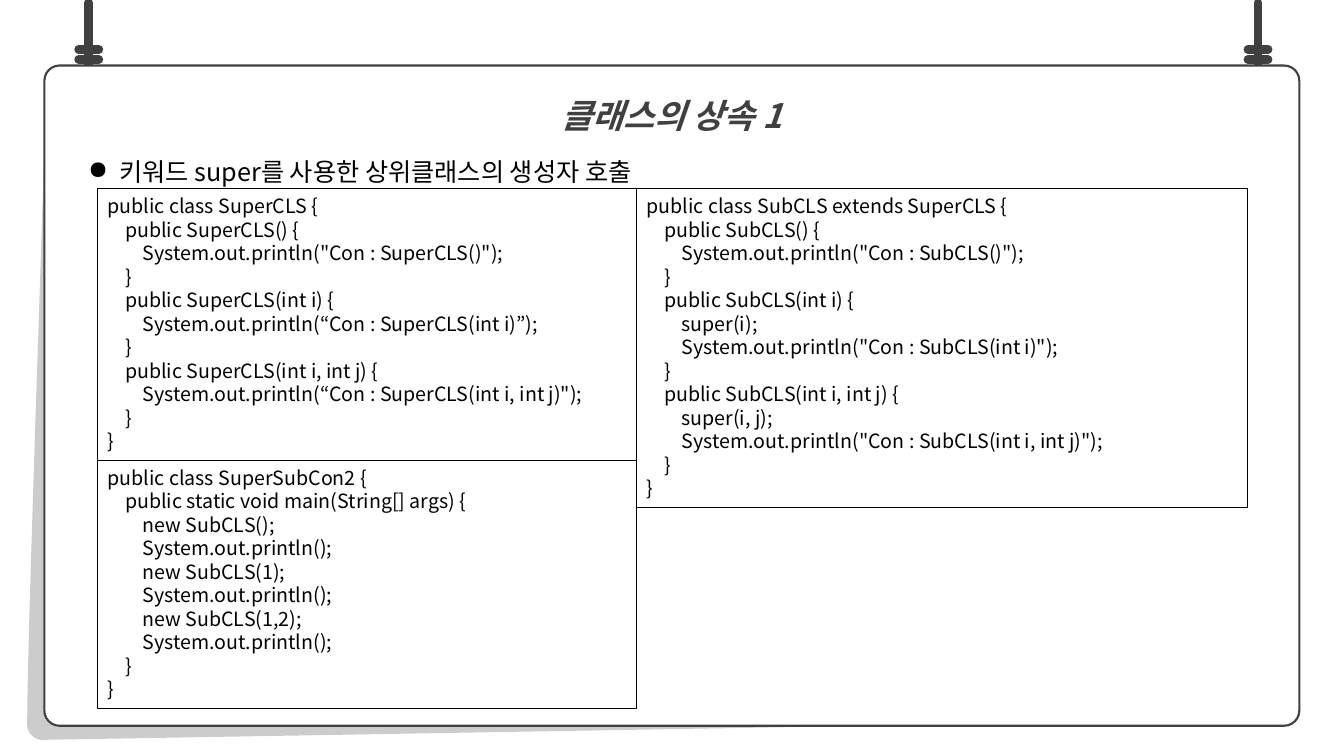
"""Build the slide on calling superclass constructors with super."""
from dataclasses import dataclass

from lxml import etree
from pptx import Presentation
from pptx.dml.color import RGBColor
from pptx.enum import shapes, text
from pptx.oxml import ns
from pptx.util import Pt


@dataclass(frozen=True)
class Theme:
    font: str = "Noto Sans CJK KR"
    ink: str = "000000"
    dark: str = "404040"
    paper: str = "FFFFFF"
    title: float = 24
    body: float = 18
    code: float = 14
    leading: float = 1.2
    loose: float = 1.8
    level: float = 12.5
    hairline: float = 0.75
    outline: float = 1.5
    rope: float = 6.25


class Deck:
    def __init__(self, s, theme):
        self.s, self.t = s, theme

    def color(self, value):
        return RGBColor.from_string(value)

    def paint(self, sp, fill=None, line=None, width=0):
        sp.shadow.inherit = False
        if fill:
            sp.fill.solid()
            sp.fill.fore_color.rgb = self.color(fill)
        else:
            sp.fill.background()
        if line:
            sp.line.color.rgb = self.color(line)
            sp.line.width = Pt(width)
        else:
            sp.line.fill.background()

    def frame(self, sp, margins):
        tf = sp.text_frame
        tf.word_wrap = True
        tf.auto_size = text.MSO_AUTO_SIZE.NONE
        tf.vertical_anchor = text.MSO_ANCHOR.TOP
        tf.margin_left, tf.margin_top, tf.margin_right, tf.margin_bottom = map(Pt, margins)
        return tf

    def fill_paragraph(self, p, content, size, color, leading, align=text.PP_ALIGN.LEFT):
        r = p.add_run()
        r.text = content
        p.alignment = align
        p.line_spacing = Pt(round(size * leading, 1))
        p.font.name, p.font.size = self.t.font, Pt(size)
        p.font.color.rgb = self.color(color)
        ea = etree.SubElement(r._r.get_or_add_rPr(), ns.qn("a:ea"))
        ea.set("typeface", self.t.font)

    def indent(self, p, left, first=0):
        pPr = p._p.get_or_add_pPr()
        pPr.set("marL", str(Pt(left)))
        pPr.set("indent", str(Pt(first)))
        return pPr

    def title(self, content, box):
        sp = self.s.shapes.title
        sp.left, sp.top, sp.width, sp.height = map(Pt, box)
        self.s.shapes._spTree.append(sp._element)
        p = self.frame(sp, (7.2, 3.6, 7.2, 3.6)).paragraphs[0]
        self.fill_paragraph(p, content, self.t.title, self.t.dark, self.t.loose,
                            text.PP_ALIGN.CENTER)
        p.font.bold = p.font.italic = True

    def line(self, x1, y1, x2, y2):
        c = self.s.shapes.add_connector(shapes.MSO_CONNECTOR.STRAIGHT, *map(Pt, (x1, y1, x2, y2)))
        c.line.color.rgb = self.color(self.t.dark)
        c.line.width = Pt(self.t.rope)
        c.line._get_or_add_ln().set("cap", "rnd")
        etree.SubElement(c._element.spPr, ns.qn("a:effectLst"))

    def rope(self, x):
        self.line(x, 2, x, 59)
        for y in (42.5, 35.3):
            self.line(x - 7.2, y, x + 7.2, y)

    def page_shadow(self, points, alpha):
        builder = self.s.shapes.build_freeform(*map(Pt, points[0]))
        builder.add_line_segments([tuple(map(Pt, point)) for point in points[1:]])
        sp = builder.convert_to_shape()
        self.paint(sp, self.t.ink)
        clr = sp._element.spPr.find(".//" + ns.qn("a:srgbClr"))
        etree.SubElement(clr, ns.qn("a:alpha")).set("val", str(alpha * 1000))

    def card(self, content, box):
        sp = self.s.shapes.add_shape(shapes.MSO_SHAPE.ROUNDED_RECTANGLE, *map(Pt, box))
        sp.adjustments[0] = 0.023
        self.paint(sp, self.t.paper, self.t.dark, self.t.outline)
        p = self.frame(sp, (28, 51, 0, 0)).paragraphs[0]
        self.fill_paragraph(p, content, self.t.body, self.t.ink, self.t.loose)
        pPr = self.indent(p, 22.5, -22.5)
        bullet = etree.Element(ns.qn("a:buChar"), char="●")
        pPr.find(ns.qn("a:lnSpc")).addnext(bullet)

    def code(self, lines, box):
        sp = self.s.shapes.add_shape(shapes.MSO_SHAPE.RECTANGLE, *map(Pt, box))
        self.paint(sp, None, self.t.ink, self.t.hairline)
        tf = self.frame(sp, (7.2, 3.6, 7.2, 3.6))
        depth = 0
        for i, content in enumerate(lines):
            p = tf.add_paragraph() if i else tf.paragraphs[0]
            depth -= content == "}"
            self.fill_paragraph(p, content, self.t.code, self.t.ink, self.t.leading)
            self.indent(p, depth * self.t.level)
            depth += content.endswith("{")


def curve(a, b, c, d, steps=12):
    return [tuple(u**3 * p + 3 * u * u * v * q + 3 * u * v * v * r + v**3 * w
                  for p, q, r, w in zip(a, b, c, d))
            for v in (i / steps for i in range(steps + 1)) for u in (1 - v,)]


SUPER_CLASS = [
    "public class SuperCLS {",
    "public SuperCLS() {", 'System.out.println("Con : SuperCLS()");', "}",
    "public SuperCLS(int i) {", "System.out.println(“Con : SuperCLS(int i)”);", "}",
    "public SuperCLS(int i, int j) {",
    'System.out.println(“Con : SuperCLS(int i, int j)");', "}",
    "}",
]
SUB_CLASS = [
    "public class SubCLS extends SuperCLS {",
    "public SubCLS() {", 'System.out.println("Con : SubCLS()");', "}",
    "public SubCLS(int i) {", "super(i);",
    'System.out.println("Con : SubCLS(int i)");', "}",
    "public SubCLS(int i, int j) {", "super(i, j);",
    'System.out.println("Con : SubCLS(int i, int j)");', "}",
    "}",
]
MAIN_CLASS = ["public class SuperSubCon2 {", "public static void main(String[] args) {"]
for arguments in ("", "1", "1,2"):
    MAIN_CLASS += [f"new SubCLS({arguments});", "System.out.println();"]
MAIN_CLASS += ["}", "}"]

prs = Presentation()
prs.slide_width, prs.slide_height = Pt(960), Pt(540)
deck = Deck(prs.slides.add_slide(prs.slide_layouts[5]), Theme())

left_edge = curve((32.4, 79.2), (31, 142.6), (19.4, 455.8), (19.4, 517.7))
corner = curve((19.4, 517.7), (19.4, 523.4), (24.5, 528.5), (30.2, 528.5))
deck.page_shadow([(167, 330.5)] + left_edge + corner[1:] + [(918, 513.4)], 20)
for x in (63.4, 898.6):
    deck.rope(x)
deck.card("키워드 super를 사용한 상위클래스의 생성자 호출", (31.7, 46.8, 896.4, 471.6))
deck.title("클래스의 상속 1", (240, 49.7, 480, 45.4))

left, top, width = 69.8, 135, 385
deck.code(SUPER_CLASS, (left, top, width, 194))
deck.code(SUB_CLASS, (left + width, top, 436.3, 227.5))
deck.code(MAIN_CLASS, (left, top + 194, width, 177))
prs.save("out.pptx")
